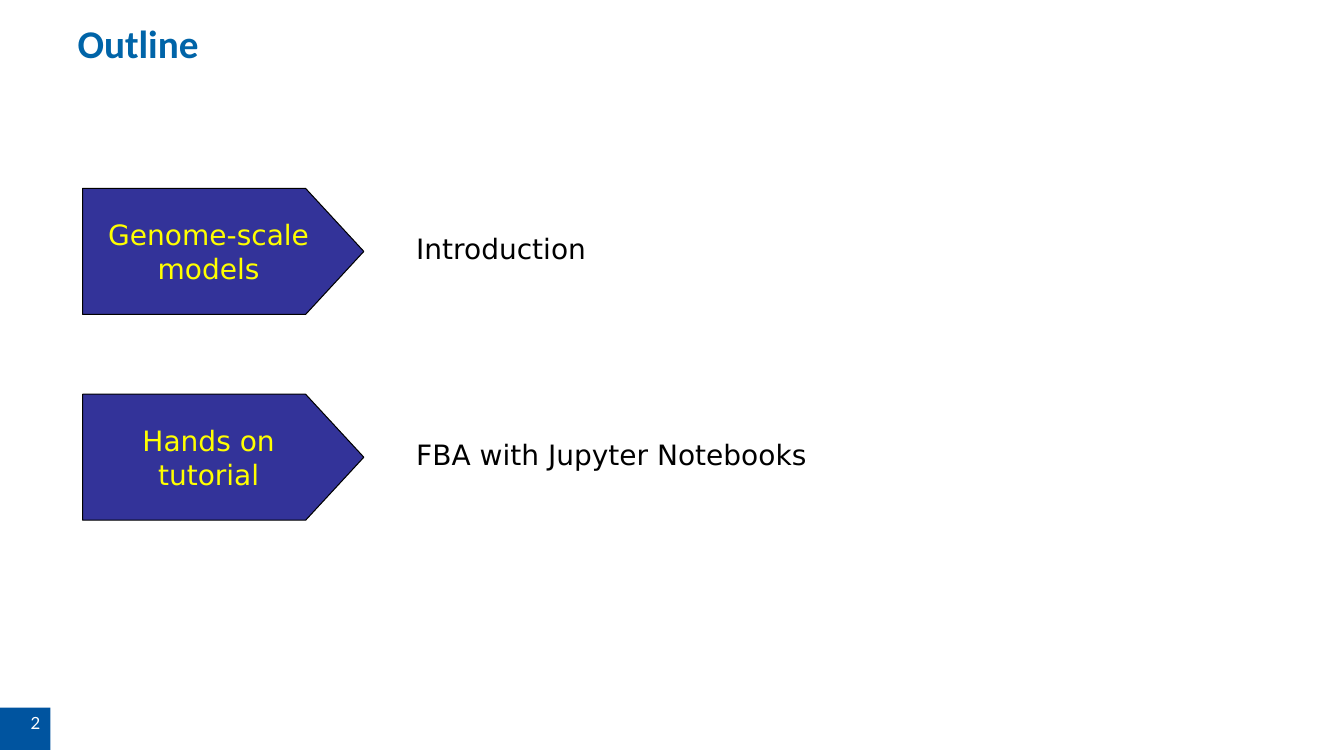
import pptx
import pptx.dml.color
import pptx.enum.shapes
import pptx.enum.text
import pptx.util

Pt = pptx.util.Pt
SHAPES = pptx.enum.shapes.MSO_SHAPE
ALIGN = pptx.enum.text.PP_ALIGN
ANCHOR = pptx.enum.text.MSO_ANCHOR

BODY_FONT = "DejaVu Sans"
FIRST_ROW_TOP = 134.6
ROW_PITCH = 147
PLATE_HEIGHT = 90
TOPIC_HEIGHT = 26.6

OUTLINE = [
    ("Genome-scale models", "Introduction"),
    ("Hands on tutorial", "FBA with Jupyter Notebooks"),
]


def rgb(hex_code):
    return pptx.dml.color.RGBColor.from_string(hex_code)


def write(frame, text, font, size, color, align=ALIGN.LEFT,
          anchor=ANCHOR.TOP, bold=False):
    frame.word_wrap = True
    frame.vertical_anchor = anchor
    paragraph = frame.paragraphs[0]
    paragraph.alignment = align
    run = paragraph.add_run()
    run.text = text
    run.font.name = font
    run.font.size = Pt(size)
    run.font.bold = bold
    run.font.color.rgb = rgb(color)
    return paragraph


def add_filled(slide, preset, left, top, width, height, fill, line=None):
    block = slide.shapes.add_shape(preset, Pt(left), Pt(top), Pt(width), Pt(height))
    block.shadow.inherit = False
    block.fill.solid()
    block.fill.fore_color.rgb = rgb(fill)
    if line:
        block.line.color.rgb = rgb(line)
        block.line.width = Pt(0.75)
    else:
        block.line.fill.background()
    return block


def set_title(slide, text):
    title = slide.shapes.title
    title.left, title.top = Pt(48.2), Pt(10.1)
    title.width, title.height = Pt(863.3), Pt(63.4)
    title.text_frame.auto_size = pptx.enum.text.MSO_AUTO_SIZE.NONE
    write(title.text_frame, text, "Calibri", 28, "0064A8", bold=True)


def add_page_number(slide, number):
    badge = add_filled(slide, SHAPES.RECTANGLE, 0, 505.4, 36, 30.2, "00549F")
    write(badge.text_frame, number, "Lato", 12, "FFFFFF", align=ALIGN.RIGHT)


def add_section(slide, top, section, topic):
    # Arrow plate with the section name
    plate = add_filled(slide, SHAPES.PENTAGON, 59, top, 200.9, PLATE_HEIGHT,
                       "333399", "000000")
    plate.adjustments[0] = 0.462
    write(plate.text_frame, section, BODY_FONT, 20, "FFFF00",
          align=ALIGN.CENTER, anchor=ANCHOR.MIDDLE)

    # Topic centred beside the plate
    topic_top = top + (PLATE_HEIGHT - TOPIC_HEIGHT) / 2
    topic_box = slide.shapes.add_textbox(Pt(290.2), Pt(topic_top),
                                         Pt(370.8), Pt(TOPIC_HEIGHT))
    paragraph = write(topic_box.text_frame, topic, BODY_FONT, 20, "000000")
    paragraph.line_spacing = 0.8


def main():
    deck = pptx.Presentation()
    deck.slide_width, deck.slide_height = Pt(960), Pt(540)
    slide = deck.slides.add_slide(deck.slide_layouts[5])

    set_title(slide, "Outline")
    add_page_number(slide, "2")
    for row, (section, topic) in enumerate(OUTLINE):
        add_section(slide, FIRST_ROW_TOP + row * ROW_PITCH, section, topic)

    deck.save("out.pptx")


if __name__ == "__main__":
    main()
